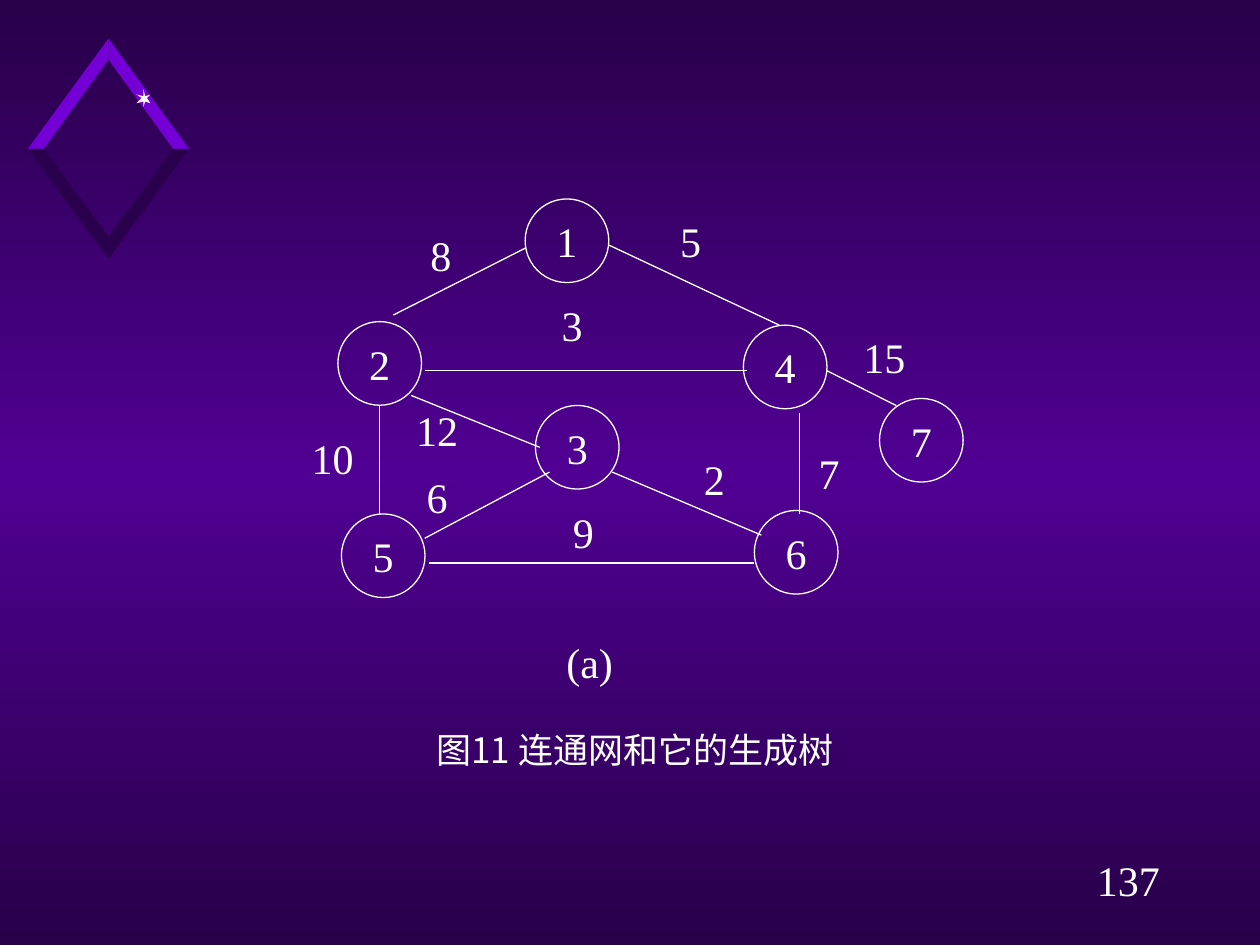
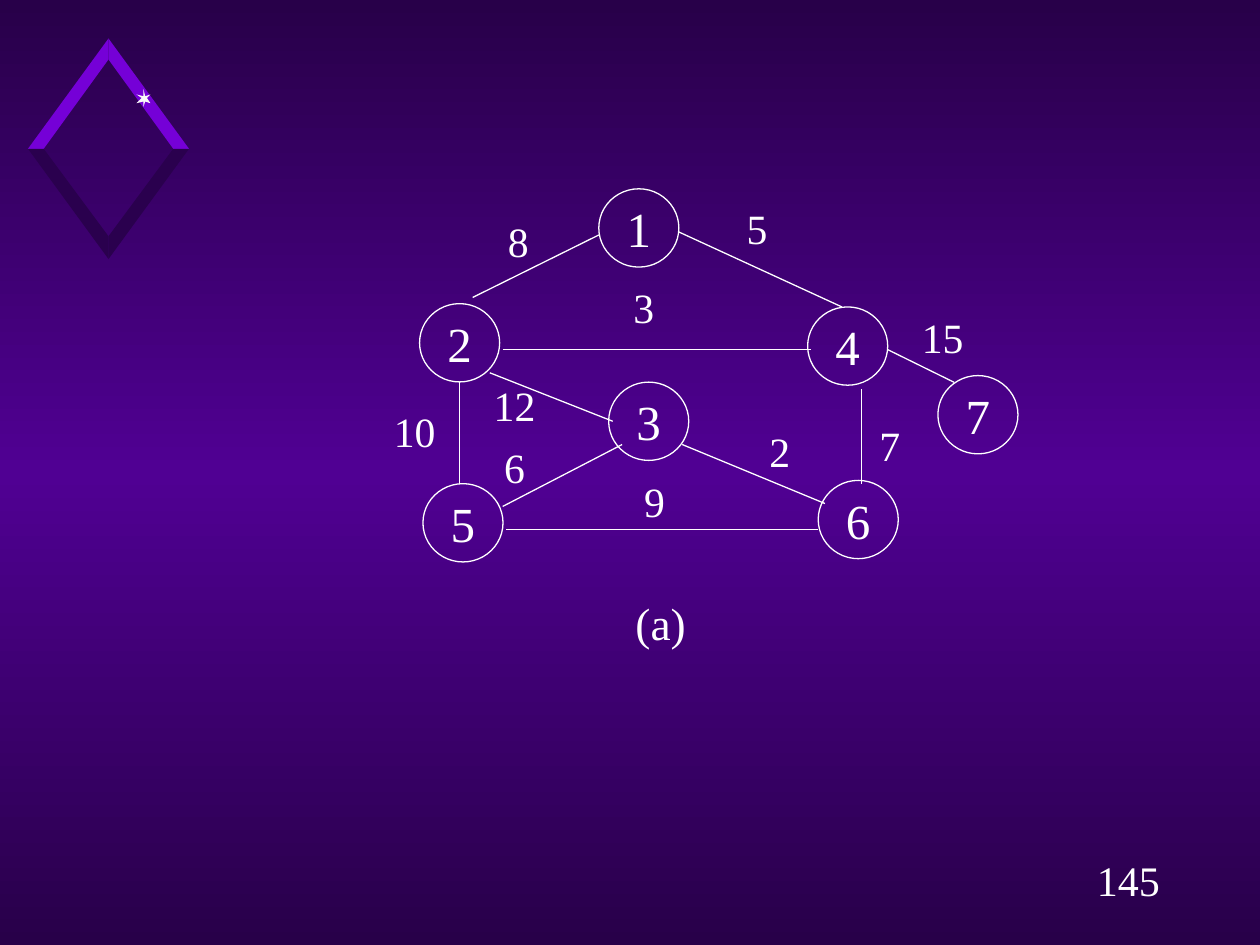
from copy import deepcopy
from itertools import product
from math import cos, pi, sin

from lxml.etree import SubElement
from pptx import Presentation
from pptx.dml.color import RGBColor
from pptx.enum.shapes import MSO_CONNECTOR as Connector, MSO_SHAPE as Preset
from pptx.enum.text import MSO_ANCHOR as Anchor, PP_ALIGN as Align
from pptx.oxml.ns import qn
from pptx.util import Pt

# Content: a weighted network, places in points
NODES = {  # node: top left corner of its circle
    "1": (300.1, 113.7), "2": (193.1, 183.8), "3": (306, 231.7),
    "4": (424.8, 185.8), "5": (195.1, 293.7), "6": (431.1, 291.7),
    "7": (502.6, 227.7),
}
EDGES = [  # weight, corner of its label, line start, line end
    ("8", (230.4, 129.6), (300.2, 141.8), (224.8, 180)),
    ("5", (373, 121.7), (347.8, 140), (445.3, 185.8)),
    ("3", (305.3, 169.9), (242.7, 211.7), (427, 211.7)),
    ("15", (483.8, 187.9), (472.3, 211.7), (512.2, 231.8)),
    ("12", (228.2, 229.7), (235, 226), (308.4, 255.6)),
    ("10", (168.5, 245.5), (216.8, 231.8), (216.8, 293.7)),
    ("6", (228.2, 267.8), (242.7, 307.6), (314, 269.8)),
    ("2", (386.6, 257.8), (349.9, 269.8), (435.1, 305.8)),
    ("7", (452.2, 254.2), (456.9, 236), (456.9, 293.8)),
    ("9", (311.8, 288), (244.9, 321.7), (431.1, 321.7)),
]
PART = ("(a)", (299.5, 361.4), (74.9, 33.8))
CAPTION = ("图11 连通网和它的生成树", (131.8, 416.2), (462.2, 33.8))
SLIDES = [
    dict(number="137", scale=(1, 1), shift=(0, 0), caption=CAPTION,
         node_pt=24, weight_pt=24, part_pt=24),
    dict(number="145", scale=(0.957, 0.936), shift=(55, 1.5), caption=None,
         node_pt=28, weight_pt=23.8, part_pt=25.9),
]

# Shared look
SERIF, SANS = "Times New Roman", "Noto Sans CJK SC"
WHITE, STAR = "FFFFFF", "F9F9F9"
NIGHT, VIOLET = "280049", "500093"
BRIGHT, SHADE = "7500D7", "2A004E"
CIRCLE, LABEL = (47.8, 47.8), (43.2, 31.7)
NUMBER_PLACE = (617.8, 484.6), (54, 36)
DIAMOND, OUTER, INNER = (62, 84.7), (46, 63.2), (36.7, 50.4)
STAR_CENTRE, STAR_RADII = (82.4, 56.2), (4.6, 5.2)


def rgb(code):
    return RGBColor.from_string(code)


def write(shape, text, size, font=SERIF, anchor=Anchor.MIDDLE, wrap=True):
    frame = shape.text_frame
    frame.word_wrap = wrap
    frame.vertical_anchor = anchor
    frame.margin_left = frame.margin_right = Pt(0)
    frame.margin_top = frame.margin_bottom = Pt(0)
    line = frame.paragraphs[0]
    line.text = text
    line.alignment = Align.CENTER
    line.font.size = Pt(size)
    line.font.name = font
    line.font.color.rgb = rgb(WHITE)
    defaults = line._p.pPr.find(qn("a:defRPr"))
    SubElement(defaults, qn("a:ea")).set("typeface", font)


def add_label(slide, text, corner, extent, size, **style):
    box = slide.shapes.add_textbox(*map(Pt, corner + extent))
    write(box, text, size, **style)


def add_outline(slide, points, fill):
    builder = slide.shapes.build_freeform(*points[0], scale=Pt(1))
    builder.add_line_segments(points[1:], close=True)
    shape = builder.convert_to_shape()
    shape.shadow.inherit = False
    shape.fill.solid()
    shape.fill.fore_color.rgb = rgb(fill)
    shape.line.fill.background()


def add_emblem(slide):
    x, y = DIAMOND
    for sy, sx in product((-1, 1), (1, -1)):
        points = [(x, y + sy * INNER[1]), (x, y + sy * OUTER[1]),
                  (x + sx * OUTER[0], y), (x + sx * INNER[0], y)]
        add_outline(slide, points, BRIGHT if sy < 0 else SHADE)
    # Six-pointed sparkle: long and short radii alternate
    tips = []
    for step in range(12):
        reach = 0.32 if step % 2 else 1
        angle = pi / 2 + step * pi / 6
        tips.append((STAR_CENTRE[0] + reach * STAR_RADII[0] * cos(angle),
                     STAR_CENTRE[1] + reach * STAR_RADII[1] * sin(angle)))
    add_outline(slide, tips, STAR)


def add_node(slide, name, corner, extent, size):
    circle = slide.shapes.add_shape(Preset.OVAL, *map(Pt, corner + extent))
    circle.shadow.inherit = False
    circle.fill.background()
    circle.line.color.rgb = rgb(WHITE)
    circle.line.width = Pt(0.75)
    write(circle, name, size, wrap=False)


def add_edge(slide, start, end):
    edge = slide.shapes.add_connector(Connector.STRAIGHT, *map(Pt, start + end))
    edge.line.color.rgb = rgb(WHITE)
    edge.line.width = Pt(0.75)
    SubElement(edge._element.spPr, qn("a:effectLst"))


def add_network(slide, view):
    def sized(extent):
        return tuple(v * k for v, k in zip(extent, view["scale"]))

    def placed(point):
        return tuple(v + d for v, d in zip(sized(point), view["shift"]))

    for weight, corner, start, end in EDGES:
        add_label(slide, weight, placed(corner), sized(LABEL), view["weight_pt"])
        add_edge(slide, placed(start), placed(end))
    for name, corner in NODES.items():
        add_node(slide, name, placed(corner), sized(CIRCLE), view["node_pt"])
    part, corner, extent = PART
    add_label(slide, part, placed(corner), sized(extent), view["part_pt"])


def paint_background(master):
    fill = master.background.fill
    fill.gradient()
    fill.gradient_angle = 270
    stop_list = fill._fill._gradFill.find(qn("a:gsLst"))
    stop_list.append(deepcopy(stop_list[0]))
    for stop, position, colour in zip(fill.gradient_stops, (0, 0.5, 1),
                                      (NIGHT, VIOLET, NIGHT)):
        stop.position = position
        stop.color.rgb = rgb(colour)


def main():
    prs = Presentation()
    prs.slide_width, prs.slide_height = Pt(720), Pt(540)
    paint_background(prs.slide_master)
    for view in SLIDES:
        slide = prs.slides.add_slide(prs.slide_layouts[6])
        add_emblem(slide)
        add_label(slide, view["number"], *NUMBER_PLACE, 24)
        add_network(slide, view)
        if view["caption"]:
            add_label(slide, *view["caption"], 20, font=SANS, anchor=Anchor.TOP)
    prs.save("out.pptx")


if __name__ == "__main__":
    main()
